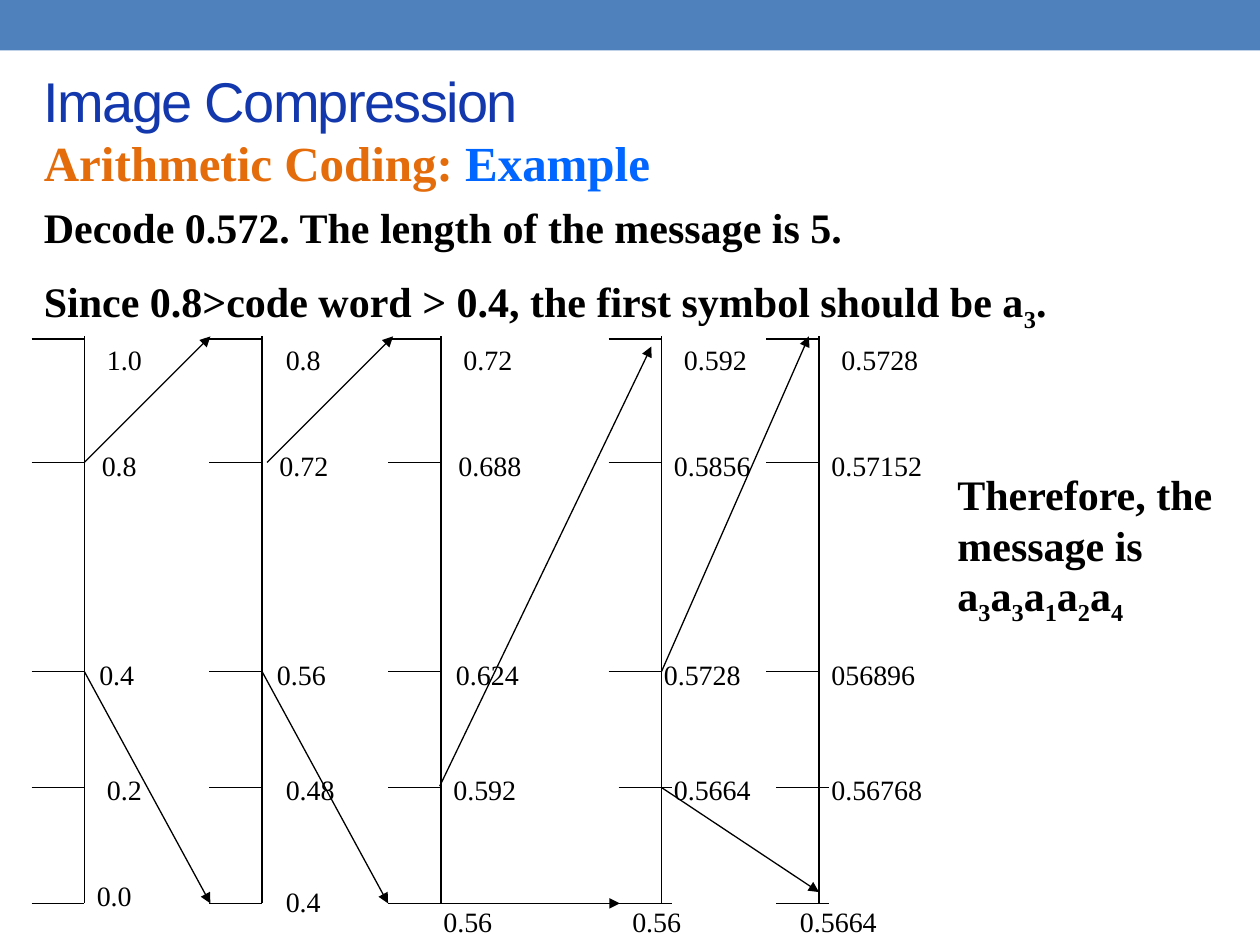
from dataclasses import dataclass

import pptx
import pptx.dml.color
import pptx.enum.shapes
import pptx.enum.text
import pptx.oxml
import pptx.oxml.ns
import pptx.util

Inches = pptx.util.Inches
Pt = pptx.util.Pt


@dataclass(frozen=True)
class Theme:
    serif: str = "Times New Roman"
    sans: str = "Arial"
    black: str = "000000"
    bar: str = "4F81BD"
    title: str = "1338AD"
    topic: str = "E46C0A"
    accent: str = "0066FF"
    small: int = 16
    body: int = 24
    head: int = 28
    large: int = 32
    line: float = 0.75


@dataclass(frozen=True)
class Run:
    text: str
    color: str = ""
    sub: bool = False


@dataclass(frozen=True)
class Label:
    text: str
    dx: float
    width: float


@dataclass(frozen=True)
class Axis:
    x: float
    shift: float  # offset of the two lowest ticks
    labels: tuple[Label, ...]


@dataclass(frozen=True)
class Arrow:
    x1: float
    y1: float
    x2: float
    y2: float


THEME = Theme()
TOP, BASE, TICK = 2.67, 7.17, 0.42
LEVELS = (2.69, 3.67, 5.33, 6.25, BASE)
ROWS = (2.67, 3.51, 5.17, 6.08)

AXES = (
    Axis(0.67, 0, (Label("1.0", 0.08, 0.67), Label("0.8", 0.04, 0.67),
                   Label("0.4", 0.02, 0.67), Label("0.2", 0.08, 0.67))),
    Axis(2.08, 0, (Label("0.8", 0.09, 0.67), Label("0.72", 0.04, 0.67),
                   Label("0.56", 0.02, 0.67), Label("0.48", 0.09, 0.67))),
    Axis(3.5, 0, (Label("0.72", 0.08, 0.67), Label("0.688", 0.04, 0.96),
                  Label("0.624", 0.02, 0.98), Label("0.592", 0, 1))),
    Axis(5.25, 0.08, (Label("0.592", 0.08, 1), Label("0.5856", 0, 1.33),
                      Label("0.5728", -0.08, 0.92), Label("0.5664", 0, 1))),
    Axis(6.5, 0.08, (Label("0.5728", 0.08, 1), Label("0.57152", 0, 1.33),
                     Label("056896", 0, 1.42), Label("0.56768", 0, 1))),
)

# Lower bounds, each with its own place: left, top
BOUNDS = (
    (Label("0.0", 0, 0.67), 0.67, 6.92),
    (Label("0.4", 0, 0.67), 2.17, 6.97),
    (Label("0.56", 0, 0.92), 3.42, 7.13),
    (Label("0.56", 0, 0.67), 4.92, 7.13),
    (Label("0.5664", 0, 1.08), 6.25, 7.13),
)

ARROWS = (
    Arrow(0.67, 3.67, 1.67, 2.67),
    Arrow(0.67, 5.33, 1.67, 7.17),
    Arrow(2.12, 3.67, 3.12, 2.67),
    Arrow(2.08, 5.33, 3.08, 7.17),
    Arrow(3.49, 6.24, 5.17, 2.75),
    Arrow(3.42, 7.17, 4.92, 7.17),
    Arrow(5.25, 5.33, 6.42, 2.67),
    Arrow(5.25, 6.25, 6.5, 7.08),
)


def rgb(code: str) -> pptx.dml.color.RGBColor:
    return pptx.dml.color.RGBColor.from_string(code)


def add_text(slide, paras: list[list[Run]], left: float, top: float,
             width: float, height: float, *, size: int = THEME.small,
             font: str = THEME.serif, color: str = THEME.black,
             bold: bool = False, middle: bool = False, gap: float = 0,
             track: int = 0) -> None:
    """Gap is the points between paragraphs; track is in 1/100 point."""
    box = slide.shapes.add_textbox(
        Inches(left), Inches(top), Inches(width), Inches(height))
    frame = box.text_frame
    frame.word_wrap = True
    anchor = pptx.enum.text.MSO_ANCHOR
    frame.vertical_anchor = anchor.MIDDLE if middle else anchor.TOP
    for i, runs in enumerate(paras):
        para = frame.paragraphs[0] if i == 0 else frame.add_paragraph()
        if i:
            para.space_before = Pt(gap)
        for item in runs:
            run = para.add_run()
            run.text = item.text
            run.font.name = font
            run.font.size = Pt(size)
            run.font.bold = bold
            run.font.color.rgb = rgb(item.color or color)
            props = run._r.get_or_add_rPr()
            if item.sub:
                props.set("baseline", "-25000")
            if track:
                props.set("spc", str(track))


def add_line(slide, x1: float, y1: float, x2: float, y2: float,
             head: bool = False) -> None:
    line = slide.shapes.add_connector(
        pptx.enum.shapes.MSO_CONNECTOR.STRAIGHT,
        Inches(x1), Inches(y1), Inches(x2), Inches(y2))
    line.line.color.rgb = rgb(THEME.black)
    line.line.width = Pt(THEME.line)
    if head:
        tail = pptx.oxml.parse_xml(
            f'<a:tailEnd {pptx.oxml.ns.nsdecls("a")} type="triangle"/>')
        line.line._get_or_add_ln().append(tail)
    line._element.spPr.append(pptx.oxml.parse_xml(
        f'<a:effectLst {pptx.oxml.ns.nsdecls("a")}/>'))


def add_label(slide, label: Label, x: float, y: float) -> None:
    add_text(slide, [[Run(label.text)]], x + label.dx, y, label.width, 0.37)


def add_axis(slide, axis: Axis) -> None:
    add_line(slide, axis.x, TOP, axis.x, BASE)
    for i, y in enumerate(LEVELS):
        end = axis.x + (axis.shift if i > 2 else 0)
        add_line(slide, end - TICK, y, end, y)
    for label, y in zip(axis.labels, ROWS):
        add_label(slide, label, axis.x, y)


def add_bar(slide) -> None:
    bar = slide.shapes.add_shape(
        pptx.enum.shapes.MSO_SHAPE.RECTANGLE, 0, 0, Inches(10), Inches(0.4))
    bar.shadow.inherit = False
    bar.fill.solid()
    bar.fill.fore_color.rgb = rgb(THEME.bar)
    bar.line.fill.background()


def main() -> None:
    deck = pptx.Presentation()
    deck.slide_width, deck.slide_height = Inches(10), Inches(7.5)
    slide = deck.slides.add_slide(deck.slide_layouts[6])
    add_bar(slide)
    for axis in AXES:
        add_axis(slide, axis)
    for label, x, y in BOUNDS:
        add_label(slide, label, x, y)
    for arrow in ARROWS:
        add_line(slide, arrow.x1, arrow.y1, arrow.x2, arrow.y2, head=True)

    code = [Run("Therefore, the message is ")]
    for digit in "33124":
        code += [Run("a"), Run(digit, sub=True)]
    add_text(slide, [code], 7.5, 3.67, 2.42, 1.31, size=THEME.body, bold=True)
    add_text(slide, [
        [Run("Decode 0.572. The length of the message is 5.")],
        [Run("Since 0.8>code word > 0.4, the first symbol should be a"),
         Run("3", sub=True), Run(".")],
    ], 0.25, 1.55, 9.32, 1.72, size=THEME.body, bold=True, gap=13.5)
    add_text(slide, [[Run("Image Compression")]], 0.25, 0.46, 9.17, 0.67,
             size=THEME.large, font=THEME.sans, color=THEME.title,
             middle=True, track=-100)
    add_text(slide, [[Run("Arithmetic Coding: ", THEME.topic),
                      Run("Example", THEME.accent)]],
             0.25, 1, 9.39, 1.04, size=THEME.head, bold=True)
    deck.save("out.pptx")


if __name__ == "__main__":
    main()
